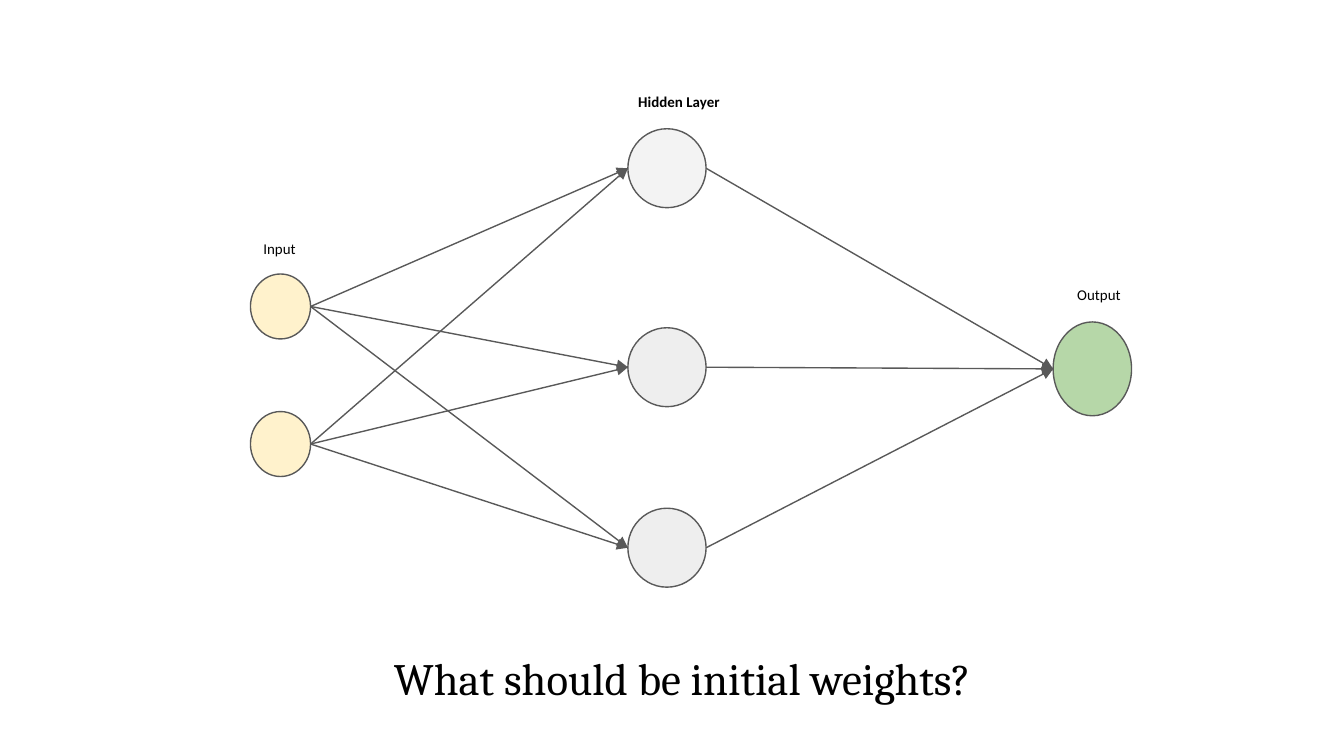
from dataclasses import dataclass

from lxml.etree import SubElement
from pptx import Presentation
from pptx.dml.color import RGBColor
from pptx.enum.shapes import MSO_CONNECTOR, MSO_SHAPE
from pptx.enum.text import MSO_ANCHOR, PP_ALIGN
from pptx.oxml.ns import qn
from pptx.util import Pt


@dataclass(frozen=True)
class Theme:
    line: RGBColor = RGBColor.from_string("595959")
    text: RGBColor = RGBColor.from_string("000000")
    input: RGBColor = RGBColor.from_string("FFF2CC")
    hidden_top: RGBColor = RGBColor.from_string("F3F3F3")
    hidden: RGBColor = RGBColor.from_string("EEEEEE")
    output: RGBColor = RGBColor.from_string("B6D7A8")
    line_width: float = 0.75
    label_size: int = 8
    question_size: int = 24


theme = Theme()
prs = Presentation()
prs.slide_width, prs.slide_height = Pt(720), Pt(405)
s = prs.slides.add_slide(prs.slide_layouts[6])


def add_neuron(x, y, w, h, color):
    sp = s.shapes.add_shape(MSO_SHAPE.OVAL, Pt(x), Pt(y), Pt(w), Pt(h))
    sp.shadow.inherit = False
    sp.fill.solid()
    sp.fill.fore_color.rgb = color
    sp.line.color.rgb = theme.line
    sp.line.width = Pt(theme.line_width)
    return sp


def add_text(text, x, y, w, h, font, size, align, anchor, bold=False):
    tf = s.shapes.add_textbox(Pt(x), Pt(y), Pt(w), Pt(h)).text_frame
    tf.word_wrap = True
    tf.vertical_anchor = anchor
    tf.margin_left = tf.margin_right = tf.margin_top = tf.margin_bottom = Pt(7.2)
    p = tf.paragraphs[0]
    p.text = text
    p.alignment = align
    p.font.name, p.font.size, p.font.bold = font, Pt(size), bold
    p.font.color.rgb = theme.text


# Neurons, one list per layer
inputs = [add_neuron(134.2, y, 32.2, 34.8, theme.input) for y in (146.8, 220.5)]
hidden = [
    add_neuron(336.4, y, 41.9, 42.3, color)
    for y, color in ((69, theme.hidden_top), (175.6, theme.hidden), (272.3, theme.hidden))
]
outputs = [add_neuron(564.2, 172.5, 42, 50.3, theme.output)]

# Weights: every neuron points to every neuron of the next layer
for sources, targets in ((inputs, hidden), (hidden, outputs)):
    for a in sources:
        for b in targets:
            cx = s.shapes.add_connector(
                MSO_CONNECTOR.STRAIGHT,
                a.left + a.width, a.top + a.height // 2,
                b.left, b.top + b.height // 2,
            )
            cx.line.color.rgb = theme.line
            cx.line.width = Pt(theme.line_width)
            SubElement(cx.line._get_or_add_ln(), qn("a:tailEnd"), type="triangle")
            SubElement(cx._element.spPr, qn("a:effectLst"))

# Layer labels
for text, x, y, w, align, bold in (
    ("Input", 134, 127.5, 38, PP_ALIGN.LEFT, False),
    ("Hidden Layer", 327, 49, 73.5, PP_ALIGN.CENTER, True),
    ("Output", 570, 152.5, 38, PP_ALIGN.LEFT, False),
):
    add_text(text, x, y, w, 11, "Calibri", theme.label_size, align, MSO_ANCHOR.MIDDLE, bold)

# Question
add_text("What should be initial weights?", 112, 341.3, 507, 46, "Cambria",
         theme.question_size, PP_ALIGN.CENTER, MSO_ANCHOR.TOP)

prs.save("out.pptx")
